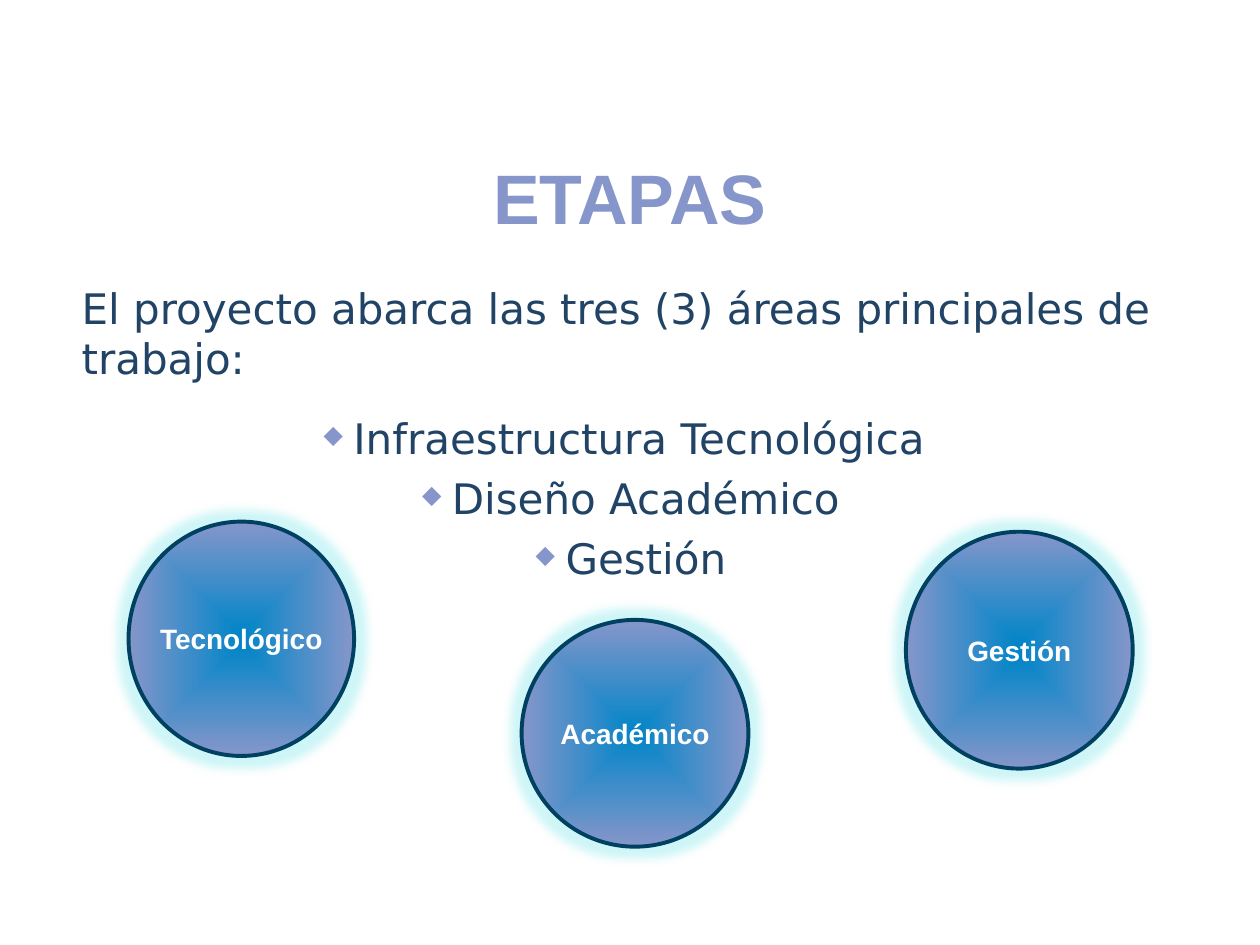
from pptx import Presentation
from pptx.dml.color import RGBColor
from pptx.enum.shapes import MSO_SHAPE
from pptx.enum.text import MSO_ANCHOR, PP_ALIGN
from pptx.oxml.ns import qn
from pptx.util import Inches, Pt
from lxml.etree import SubElement

LAVENDER = "8696CA"
NAVY = "214365"
BLUE = "0085C8"
OUTLINE = "004060"
GLOW = "0BD0D9"
WHITE = "FFFFFF"


def color(value):
    return RGBColor.from_string(value)


def add_xml(parent, tag, **attributes):
    return SubElement(parent, qn(tag), attributes)


def write(paragraph, words, ink, **font_values):
    paragraph.add_run().text = words
    for name, value in font_values.items():
        setattr(paragraph.font, name, value)
    paragraph.font.color.rgb = color(ink)


def add_text_frame(slide, box, anchor):
    frame = slide.shapes.add_textbox(*map(Inches, box)).text_frame
    frame.word_wrap = True
    frame.vertical_anchor = anchor
    return frame


def add_heading(slide, box):
    heading = add_text_frame(slide, box, MSO_ANCHOR.MIDDLE).paragraphs[0]
    heading.alignment = PP_ALIGN.CENTER
    write(heading, "ETAPAS", LAVENDER, name="Arial", size=Pt(40), bold=True)


def add_diamond_bullet(paragraph):
    properties = paragraph._p.get_or_add_pPr()
    bullet_color = add_xml(properties, "a:buClr")
    add_xml(bullet_color, "a:srgbClr", val=LAVENDER)
    add_xml(properties, "a:buSzPct", val="60000")
    add_xml(properties, "a:buChar", char="◆")


def add_work_areas(slide, box, intro, areas):
    frame = add_text_frame(slide, box, MSO_ANCHOR.TOP)
    body_font = {"name": "DejaVu Sans", "size": Pt(24)}
    write(frame.paragraphs[0], intro, NAVY, **body_font)
    for index, area in enumerate(areas):
        item = frame.add_paragraph()
        item.alignment = PP_ALIGN.CENTER
        item.space_before = Pt(5.6 if index else 16.8)
        add_diamond_bullet(item)
        write(item, area, NAVY, **body_font)


def fill_from_center(shape, inner, outer):
    """Give the shape a gradient that spreads from its middle to its edges."""
    shape.fill.gradient()
    for stop, position, value in zip(shape.fill.gradient_stops, (0, 1), (inner, outer)):
        stop.position = position
        stop.color.rgb = color(value)
    gradient = shape._element.spPr.find(qn("a:gradFill"))
    gradient.remove(gradient.find(qn("a:lin")))
    spread = add_xml(gradient, "a:path", path="shape")
    add_xml(spread, "a:fillToRect", l="50000", t="50000", r="50000", b="50000")


def add_glow(shape):
    shape.shadow.inherit = False
    effects = shape._element.spPr.find(qn("a:effectLst"))
    glow = add_xml(effects, "a:glow", rad=str(Pt(11)))
    glow_color = add_xml(glow, "a:srgbClr", val=GLOW)
    add_xml(glow_color, "a:alpha", val="20000")


def add_stage(slide, box, label):
    stage = slide.shapes.add_shape(MSO_SHAPE.OVAL, *map(Inches, box))
    fill_from_center(stage, BLUE, LAVENDER)
    stage.line.color.rgb = color(OUTLINE)
    stage.line.width = Pt(2.25)
    add_glow(stage)
    frame = stage.text_frame
    frame.word_wrap = False
    frame.vertical_anchor = MSO_ANCHOR.MIDDLE
    caption = frame.paragraphs[0]
    caption.alignment = PP_ALIGN.CENTER
    write(caption, label, WHITE, name="Arial", size=Pt(16), bold=True)


def main():
    presentation = Presentation()
    presentation.slide_width = Inches(10)
    presentation.slide_height = Inches(7.5)
    slide = presentation.slides.add_slide(presentation.slide_layouts[6])

    add_heading(slide, (0.5, 1.17, 9, 0.78))
    add_work_areas(
        slide,
        (0.55, 2.19, 9, 2.66),
        "El proyecto abarca las tres (3) áreas principales de trabajo:",
        ("Infraestructura Tecnológica ", "Diseño Académico", "Gestión"),
    )
    stages = {
        "Académico": (4.14, 4.92, 1.8, 1.8),
        "Tecnológico": (1.02, 4.14, 1.79, 1.86),
        "Gestión": (7.19, 4.22, 1.8, 1.88),
    }
    for label, box in stages.items():
        add_stage(slide, box, label)

    presentation.save("out.pptx")


if __name__ == "__main__":
    main()
